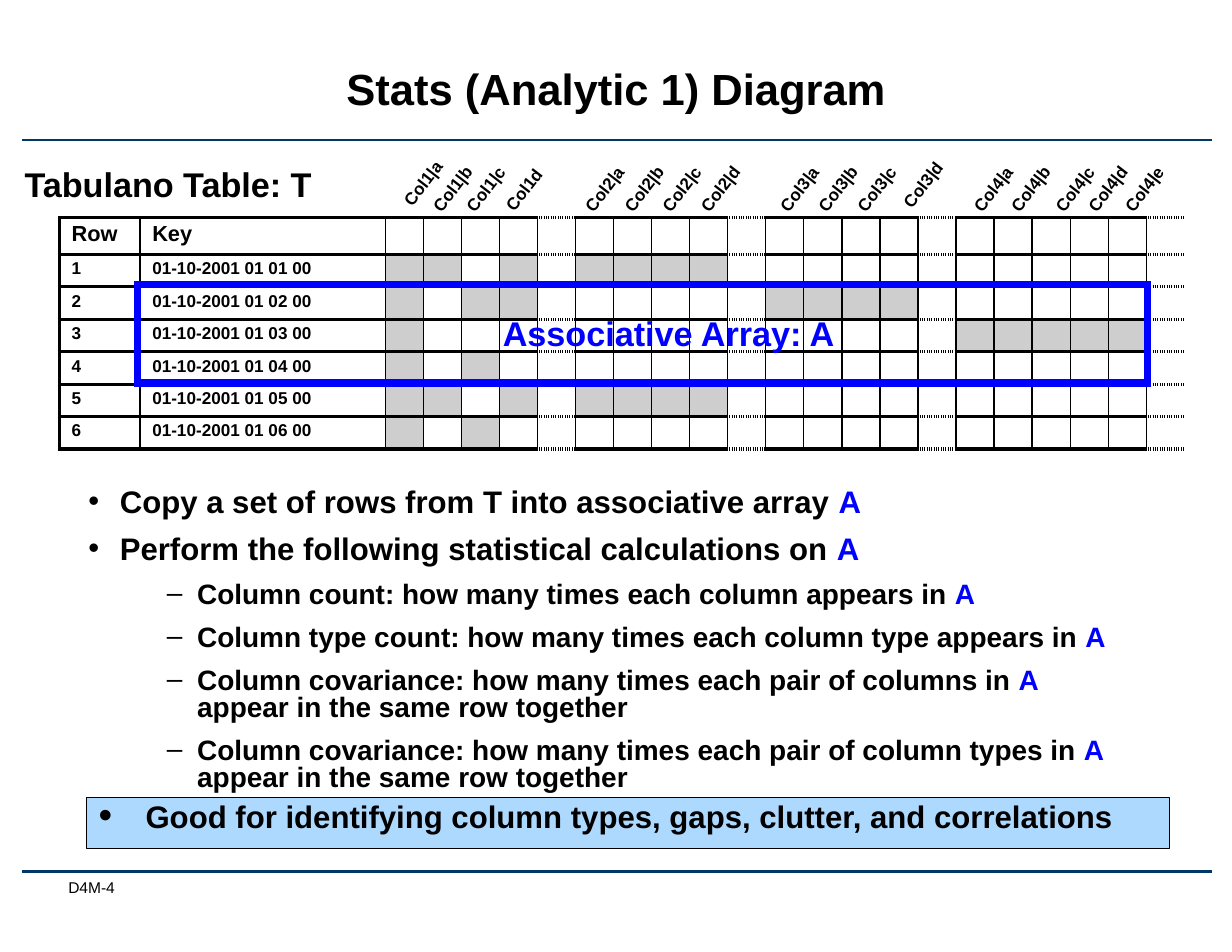
from lxml import etree
from pptx import Presentation
from pptx.dml.color import RGBColor
from pptx.enum.shapes import MSO_CONNECTOR, MSO_SHAPE
from pptx.enum.text import MSO_ANCHOR, MSO_AUTO_SIZE, PP_ALIGN
from pptx.oxml.ns import qn
from pptx.util import Inches, Pt

BLACK = RGBColor(0x00, 0x00, 0x00)
BLUE = RGBColor(0x00, 0x00, 0xFF)
NAVY = RGBColor(0x00, 0x37, 0x67)
GRAY = RGBColor(0xCE, 0xCE, 0xCE)
LIGHT_BLUE = RGBColor(0xAE, 0xD9, 0xFF)


def format_text(text_frame, size, color=BLACK, bold=True):
    text_frame.margin_left = text_frame.margin_right = Inches(0.11)
    text_frame.margin_top = text_frame.margin_bottom = Inches(0.06)
    for paragraph in text_frame.paragraphs:
        for run in paragraph.runs:
            run.font.name = "Arial"
            run.font.size = Pt(size)
            run.font.bold = bold
            run.font.color.rgb = color


def add_bullet(paragraph, char, left, hanging, space_before, size=100):
    """Give a paragraph a hanging bullet; space_before is in points, size in percent."""
    paragraph.alignment = PP_ALIGN.LEFT
    paragraph.line_spacing = 0.8
    paragraph.space_before = Pt(space_before)
    properties = paragraph._p.get_or_add_pPr()
    properties.set("marL", str(Inches(left)))
    properties.set("indent", str(-Inches(hanging)))
    etree.SubElement(properties, qn("a:buSzPct"), val=str(size * 1000))
    etree.SubElement(properties, qn("a:buFont"), typeface="Arial")
    etree.SubElement(properties, qn("a:buChar"), char=char)


presentation = Presentation()
presentation.slide_width = Inches(11)
presentation.slide_height = Inches(8.5)
slide = presentation.slides.add_slide(presentation.slide_layouts[5])
shapes = slide.shapes

# Title, rules and page label
title = shapes.title
title.left, title.top = Inches(1.13), Inches(0.31)
title.width, title.height = Inches(8.74), Inches(1.01)
title.text_frame.text = "Stats (Analytic 1) Diagram"
title.text_frame.vertical_anchor = MSO_ANCHOR.MIDDLE
title.text_frame.paragraphs[0].alignment = PP_ALIGN.CENTER
title.text_frame.paragraphs[0].line_spacing = Pt(30)
format_text(title.text_frame, 28)

for y in (1.25, 7.78):
    rule = shapes.add_connector(
        MSO_CONNECTOR.STRAIGHT, Inches(0.2), Inches(y), Inches(10.82), Inches(y))
    rule.line.color.rgb = NAVY
    rule.line.width = Pt(1.75)
    etree.SubElement(rule._element.spPr, qn("a:effectLst"))

page_label = shapes.add_textbox(Inches(0.55), Inches(7.84), Inches(1.31), Inches(0.27))
page_label.text_frame.text = "D4M-4"
format_text(page_label.text_frame, 10, bold=False)
page_label.text_frame.margin_left = Inches(0.06)
page_label.text_frame.margin_top = page_label.text_frame.margin_bottom = 0

# Calculations
body = shapes.add_textbox(Inches(0.68), Inches(4.31), Inches(9.35), Inches(2.72))
body.text_frame.word_wrap = True
calculations = [
    (0, "Copy a set of rows from T into associative array ", ""),
    (0, "Perform the following statistical calculations on ", ""),
    (1, "Column count: how many times each column appears in ", ""),
    (1, "Column type count: how many times each column type appears in ", ""),
    (1, "Column covariance: how many times each pair of columns in ",
     " appear in the same row together"),
    (1, "Column covariance: how many times each pair of column types in ",
     " appear in the same row together"),
]
for index, (level, before, after) in enumerate(calculations):
    paragraph = body.text_frame.paragraphs[0] if index == 0 else body.text_frame.add_paragraph()
    paragraph.level = level
    for text in filter(None, (before, "A", after)):
        paragraph.add_run().text = text
    if level == 0:
        add_bullet(paragraph, "•", 0.28, 0.28, 11)
    else:
        add_bullet(paragraph, "–", 0.97, 0.27, 10.5)
format_text(body.text_frame, 20)
for paragraph in body.text_frame.paragraphs:
    paragraph.runs[1].font.color.rgb = BLUE
    if paragraph.level == 1:
        for run in paragraph.runs:
            run.font.size = Pt(18)

# Table: dotted gap columns separate the column groups
COLUMN_COUNT = 23
GAP_COLUMNS = (6, 11, 16, 22)
shaded_columns = [
    (),
    (2, 3, 5, 7, 8, 9, 10),
    (2, 4, 5, 12, 13, 14, 15),
    (2, 17, 18, 19, 20, 21),
    (2, 4),
    (2, 3, 5, 7, 8, 9, 10),
    (2, 4),
]
table = shapes.add_table(len(shaded_columns), COLUMN_COUNT, Inches(0.53), Inches(1.94),
                         Inches(10.05), Inches(2.06)).table
table.first_row = table.horz_banding = False
for index, column in enumerate(table.columns):
    column.width = Inches({0: 0.72, 1: 2.19}.get(index, 0.34))
for row_index, shaded in enumerate(shaded_columns):
    table.rows[row_index].height = Inches(0.29 if row_index else 0.32)
    labels = (str(row_index), f"01-10-2001 01 0{row_index} 00") if row_index else ("Row", "Key")
    for column_index in range(COLUMN_COUNT):
        cell = table.cell(row_index, column_index)
        if column_index < len(labels):
            cell.text_frame.text = labels[column_index]
            cell.text_frame.paragraphs[0].line_spacing = 0.9
            format_text(cell.text_frame, 11 if row_index else 14)
        else:
            etree.SubElement(cell.text_frame.paragraphs[0]._p, qn("a:endParaRPr"), sz="800")
        cell.margin_left = cell.margin_right = Inches(0.11)
        cell.margin_top = cell.margin_bottom = Inches(0.06)

        cell_properties = cell._tc.get_or_add_tcPr()
        for side in "LRTB":
            thick = side in "TB" or (side == "L" and column_index == 0)
            border = etree.SubElement(cell_properties, qn(f"a:ln{side}"),
                                      w=str(Pt(2.25 if thick else 1)))
            if side == "R" and column_index == COLUMN_COUNT - 1:
                etree.SubElement(border, qn("a:noFill"))
                continue
            fill = etree.SubElement(border, qn("a:solidFill"))
            etree.SubElement(fill, qn("a:srgbClr"), val=str(BLACK))
            dotted = side in "TB" and column_index in GAP_COLUMNS
            etree.SubElement(border, qn("a:prstDash"), val="sysDot" if dotted else "solid")
        if column_index in shaded:
            cell.fill.solid()
            cell.fill.fore_color.rgb = GRAY
        else:
            cell.fill.background()

# Slanted column labels
column_labels = [
    ("Col1|a", 3.43, 1.48), ("Col1|b", 3.69, 1.53), ("Col1|c", 3.99, 1.53), ("Col1d", 4.35, 1.54),
    ("Col2|a", 5.05, 1.53), ("Col2|b", 5.4, 1.53), ("Col2|c", 5.74, 1.53), ("Col2|d", 6.08, 1.53),
    ("Col3|a", 6.79, 1.53), ("Col3|b", 7.13, 1.53), ("Col3|c", 7.48, 1.53), ("Col3|d", 7.89, 1.49),
    ("Col4|a", 8.52, 1.53), ("Col4|b", 8.85, 1.53), ("Col4|c", 9.25, 1.53), ("Col4|d", 9.54, 1.53),
    ("Col4|e", 9.87, 1.53),
]
for text, left, top in column_labels:
    width = 0.65 if text == "Col1d" else 0.7 if text[-1] in "bd" else 0.69
    label = shapes.add_textbox(Inches(left), Inches(top), Inches(width), Inches(0.3))
    label.rotation = 307.6
    label.text_frame.text = text
    label.text_frame.word_wrap = False
    label.text_frame.auto_size = MSO_AUTO_SIZE.SHAPE_TO_FIT_TEXT
    format_text(label.text_frame, 11)

# Selected rows and the two captions
selection = shapes.add_shape(
    MSO_SHAPE.RECTANGLE, Inches(1.23), Inches(2.54), Inches(9.02), Inches(0.88))
selection.shadow.inherit = False
selection.fill.background()
selection.line.color.rgb = BLUE
selection.line.width = Pt(4.5)
etree.SubElement(selection.line._get_or_add_ln(), qn("a:miter"), lim="800000")

for text, left, top, width, color in [
    ("Tabulano Table: T", 0.11, 1.4, 3.04, BLACK),
    ("Associative Array: A", 4.38, 2.73, 3.21, BLUE),
]:
    caption = shapes.add_textbox(Inches(left), Inches(top), Inches(width), Inches(0.49))
    caption.text_frame.text = text
    caption.text_frame.word_wrap = False
    caption.text_frame.auto_size = MSO_AUTO_SIZE.SHAPE_TO_FIT_TEXT
    format_text(caption.text_frame, 22, color)

# Conclusion
conclusion = shapes.add_shape(
    MSO_SHAPE.RECTANGLE, Inches(0.77), Inches(7.12), Inches(9.67), Inches(0.46))
conclusion.shadow.inherit = False
conclusion.fill.solid()
conclusion.fill.fore_color.rgb = LIGHT_BLUE
conclusion.line.color.rgb = BLACK
conclusion.line.width = Pt(0.75)
conclusion.text_frame.text = "Good for identifying column types, gaps, clutter, and correlations"
conclusion.text_frame.word_wrap = True
conclusion.text_frame.vertical_anchor = MSO_ANCHOR.TOP
add_bullet(conclusion.text_frame.paragraphs[0], "•", 0.42, 0.42, 5, 125)
format_text(conclusion.text_frame, 20)

presentation.save("out.pptx")
